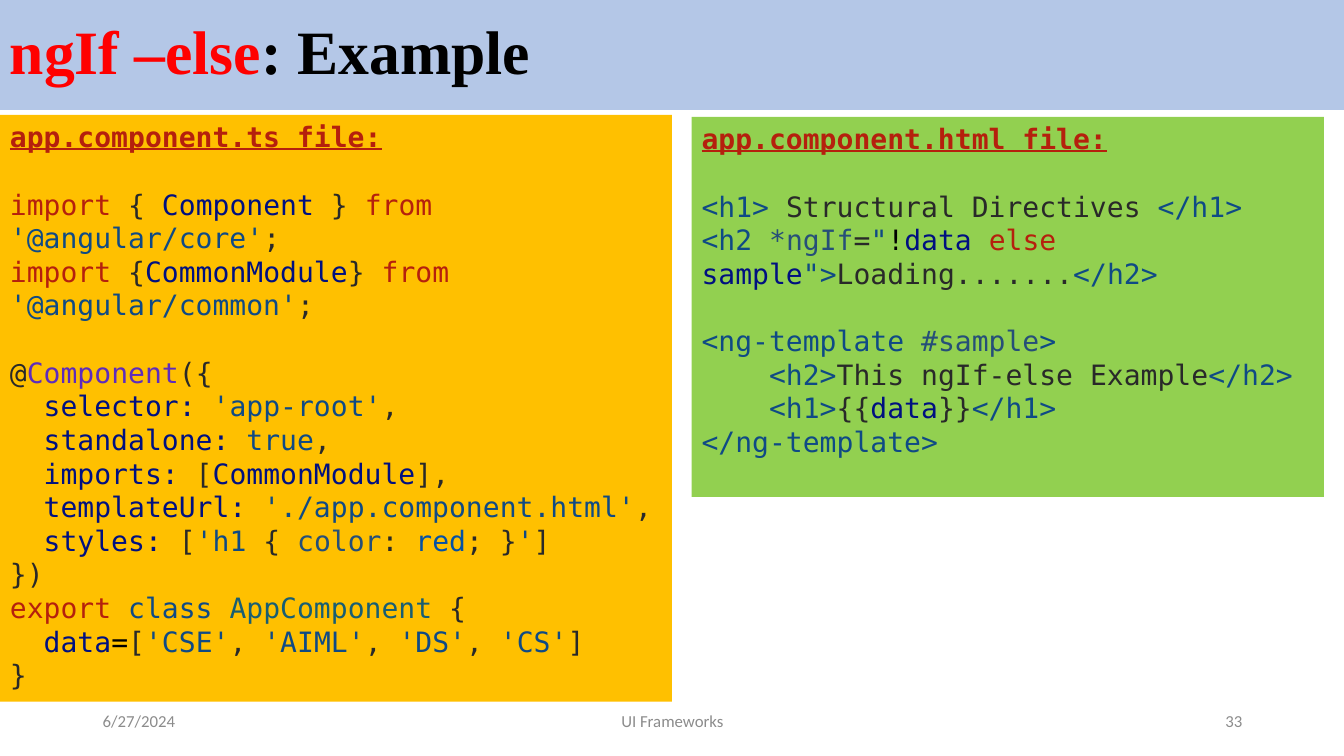
from pptx import Presentation
from pptx import util as u
from pptx.dml.color import RGBColor
from pptx.enum import shapes, text

WIDTH, HEIGHT = 13.33, 7.5
CODE_FONT, CODE_SIZE, CODE_GAP = "DejaVu Sans Mono", 20, 24
COLOURS = {
    "red": "FF0000", "black": "000000", "grey": "8C8C8C",
    "key": "B5200D", "plain": "292929", "name": "001080", "string": "0F4A85",
    "decorator": "5E2CBC", "class": "185E73", "attr": "264F78", "value": "0451A5",
}
TITLE = [("ngIf –else", "red"), (": Example", "black")]
FOOTER = [
    ("6/27/2024", 0.92, 3, "LEFT"),
    ("UI Frameworks", 4.42, 4.5, "CENTER"),
    ("33", 9.42, 3, "RIGHT"),
]

# Each block of code is set off from the one above by a gap of one line.
TS_BLOCKS = [
    [
        [("import", "key"), (" { ", "plain"), ("Component", "name"), (" } ", "plain"),
         ("from ", "key"), ("'@angular/core'", "string"), (";", "plain")],
        [("import", "key"), (" {", "plain"), ("CommonModule", "name"), ("} ", "plain"),
         ("from ", "key"), ("'@angular/common'", "string"), (";", "plain")],
    ],
    [
        [("@", "plain"), ("Component", "decorator"), ("({", "plain")],
        [("  selector: ", "name"), ("'app-root'", "string"), (",", "plain")],
        [("  standalone: ", "name"), ("true", "string"), (",", "plain")],
        [("  imports:", "name"), (" [", "plain"), ("CommonModule", "name"), ("],", "plain")],
        [("  templateUrl: ", "name"), ("'./app.component.html'", "string"), (",", "plain")],
        [("  styles:", "name"), (" [", "plain"), ("'h1", "string"), (" { ", "plain"),
         ("color", "attr"), (": ", "plain"), ("red", "value"), ("; }", "plain"),
         ("'", "string"), ("]", "plain")],
        [("})", "plain")],
        [("export ", "key"), ("class ", "string"), ("AppComponent", "class"), (" {", "plain")],
        [("  data", "name"), ("=", "black"), ("[", "plain"), ("'CSE'", "string"),
         (", ", "plain"), ("'AIML'", "string"), (", ", "plain"), ("'DS'", "string"),
         (", ", "plain"), ("'CS'", "string"), ("]", "plain")],
        [("}", "plain")],
    ],
]
HTML_BLOCKS = [
    [
        [("<h1>", "string"), (" Structural Directives ", "plain"), ("</h1>", "string")],
        [("<h2 ", "string"), ("*ngIf", "attr"), ("=", "plain"), ('"', "string"),
         ("!", "black"), ("data ", "name"), ("else ", "key"), ("sample", "name"),
         ('">', "string"), ("Loading.......", "plain"), ("</h2>", "string")],
    ],
    [
        [("<ng-template ", "string"), ("#sample", "attr"), (">", "string")],
        [("    <h2>", "string"), ("This ngIf-else Example", "plain"), ("</h2>", "string")],
        [("    <h1>", "string"), ("{{", "plain"), ("data", "name"), ("}}", "plain"),
         ("</h1>", "string")],
        [("</ng-template>", "string")],
    ],
]
PANELS = [
    ("app.component.ts file:", TS_BLOCKS, "FFC000", (0, 1.14, WIDTH / 2, 5.82)),
    ("app.component.html file:", HTML_BLOCKS, "92D050", (6.86, 1.16, 6.27, 3.77)),
]


def colour(hex_text):
    return RGBColor.from_string(hex_text)


def add_box(page, area, anchor, fill=None):
    """Add a wrapping rectangle, or a plain text box when there is no fill."""
    place = [u.Inches(length) for length in area]
    if fill:
        box = page.shapes.add_shape(shapes.MSO_SHAPE.RECTANGLE, *place)
        box.shadow.inherit = False
        box.fill.solid()
        box.fill.fore_color.rgb = colour(fill)
        box.line.fill.background()
    else:
        box = page.shapes.add_textbox(*place)
    box.text_frame.word_wrap = True
    box.text_frame.vertical_anchor = anchor
    return box.text_frame


def write(para, spans, font, size, bold=False, underline=False, align="LEFT"):
    para.alignment = getattr(text.PP_ALIGN, align)
    for words, kind in spans:
        span = para.add_run()
        span.text = words
        span.font.name = font
        span.font.size = u.Pt(size)
        span.font.bold = bold
        span.font.underline = underline
        span.font.color.rgb = colour(COLOURS[kind])


def add_panel(page, heading, blocks, fill, area):
    frame = add_box(page, area, text.MSO_ANCHOR.TOP, fill)
    write(frame.paragraphs[0], [(heading, "key")], CODE_FONT, CODE_SIZE, True, True)
    for block in blocks:
        for row, spans in enumerate(block):
            para = frame.add_paragraph()
            if row == 0:
                para.space_before = u.Pt(CODE_GAP)
            write(para, spans, CODE_FONT, CODE_SIZE)


def main():
    deck = Presentation()
    deck.slide_width, deck.slide_height = u.Inches(WIDTH), u.Inches(HEIGHT)
    page = deck.slides.add_slide(deck.slide_layouts[6])

    title = add_box(page, (0, 0, WIDTH, 1.09), text.MSO_ANCHOR.MIDDLE, "B4C7E7")
    title.paragraphs[0].line_spacing = 0.9
    write(title.paragraphs[0], TITLE, "Times New Roman", 44, bold=True)

    for words, left, width, align in FOOTER:
        frame = add_box(page, (left, 6.95, width, 0.4), text.MSO_ANCHOR.MIDDLE)
        write(frame.paragraphs[0], [(words, "grey")], "Calibri", 12, align=align)

    for panel in PANELS:
        add_panel(page, *panel)

    deck.save("out.pptx")


if __name__ == "__main__":
    main()
